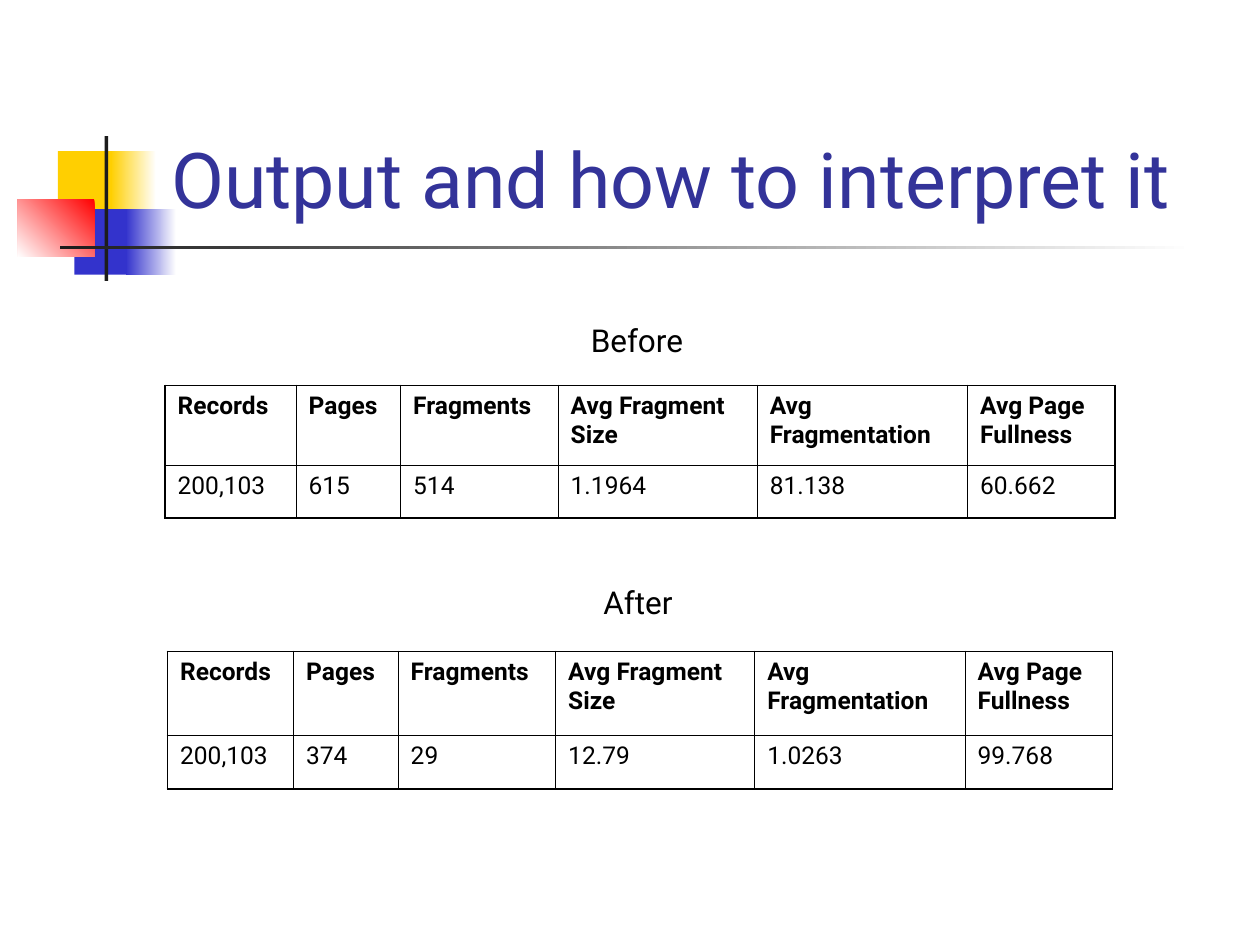
"""Build a slide comparing index fragmentation before and after."""
import pptx
import pptx.dml.color
import pptx.enum.shapes
import pptx.enum.text
import pptx.oxml
import pptx.oxml.ns
import pptx.util

Inches, Pt = pptx.util.Inches, pptx.util.Pt
RGB = pptx.dml.color.RGBColor.from_string
ANCHOR = pptx.enum.text.MSO_ANCHOR

THEME = {
    "font": "Roboto", "title": "333399", "text": "000000", "white": "FFFFFF",
    "yellow": "FFCF01", "blue": "3333CC", "red": "FF0000", "dark": "1C1C1C",
    "title_size": 44, "label_size": 18, "cell_size": 14, "cell_space": 3.5,
    "outer_line": 1.08, "inner_line": 0.45,
}

TITLE = ("Output and how to interpret it", (1.26, 0.23, 8.52, 1.6))
HEADERS = ["Records", "Pages", "Fragments", "Avg Fragment Size",
           "Avg Fragmentation", "Avg Page Fullness"]
SHARED_WIDTHS = [0.83, 1.25, 1.58, 1.67, 1.17]
VALUE_HEIGHT = 0.42
RESULTS = [
    {"label": "Before", "label_box": (4.59, 2.5, 0.98, 0.4),
     "left": 1.31, "top": 3.06, "first_width": 1.04, "header_height": 0.63,
     "values": ["200,103", "615", "514", "1.1964", "81.138", "60.662"]},
    {"label": "After", "label_box": (4.69, 4.58, 0.78, 0.4),
     "left": 1.33, "top": 5.17, "first_width": 1.0, "header_height": 0.67,
     "values": ["200,103", "374", "29", "12.79", "1.0263", "99.768"]},
]
DECORATION = [
    ((0.46, 1.2, 0.48, 0.52), ["yellow"], 0),
    ((0.88, 1.2, 0.36, 0.52), ["white", "yellow"], 180),
    ((0.59, 1.66, 0.46, 0.52), ["blue"], 0),
    ((1, 1.66, 0.4, 0.52), ["white", "blue"], 180),
    ((0.14, 1.58, 0.61, 0.46), ["red", "white"], 225),
    ((0.83, 1.08, 0.03, 1.15), ["dark"], 0),
    ((0.48, 1.95, 9, 0.03), ["white", "dark"], 180),
]


def write(p, text, size, color="text", bold=False):
    r = p.add_run()
    r.text = text
    style = {"name": THEME["font"], "size": Pt(size), "bold": bold}
    for name, value in style.items():
        setattr(r.font, name, value)
    r.font.color.rgb = RGB(THEME[color])


def add_text(s, text, box, size, **style):
    tf = s.shapes.add_textbox(*map(Inches, box)).text_frame
    layout = {"word_wrap": style.pop("wrap", False),
              "vertical_anchor": style.pop("anchor", ANCHOR.TOP)}
    for name, value in layout.items():
        setattr(tf, name, value)
    write(tf.paragraphs[0], text, size, **style)


def add_block(s, box, colors, angle):
    sp = s.shapes.add_shape(pptx.enum.shapes.MSO_SHAPE.RECTANGLE, *map(Inches, box))
    sp.shadow.inherit = False
    sp.line.fill.background()
    if len(colors) == 1:
        sp.fill.solid()
        sp.fill.fore_color.rgb = RGB(THEME[colors[0]])
        return
    sp.fill.gradient()
    sp.fill.gradient_angle = angle
    for stop, color in zip(sp.fill.gradient_stops, colors):
        stop.color.rgb = RGB(THEME[color])


def set_borders(cell, outer):
    for side in "LRTB":
        width = Pt(THEME["outer_line" if side in outer else "inner_line"])
        cell._tc.get_or_add_tcPr().append(pptx.oxml.parse_xml(
            f'<a:ln{side} {pptx.oxml.ns.nsdecls("a")} w="{width}"><a:solidFill>'
            f'<a:srgbClr val="{THEME["text"]}"/></a:solidFill></a:ln{side}>'))


def add_result(s, result):
    add_text(s, result["label"], result["label_box"], THEME["label_size"])
    widths = [result["first_width"]] + SHARED_WIDTHS
    heights = [result["header_height"], VALUE_HEIGHT]
    rows = [HEADERS, result["values"]]
    box = (result["left"], result["top"], sum(widths), sum(heights))
    table = s.shapes.add_table(len(rows), len(widths), *map(Inches, box)).table
    table.first_row = table.horz_banding = False
    for column, width in zip(table.columns, widths):
        column.width = Inches(width)
    for i, (row, height) in enumerate(zip(rows, heights)):
        table.rows[i].height = Inches(height)
        for j, text in enumerate(row):
            cell = table.cell(i, j)
            outer = "TB"[i] + {0: "L", len(row) - 1: "R"}.get(j, "")
            set_borders(cell, outer)
            cell.fill.background()
            p = cell.text_frame.paragraphs[0]
            p.space_before = Pt(THEME["cell_space"])
            write(p, text, THEME["cell_size"], bold=i == 0)


def main():
    prs = pptx.Presentation()
    prs.slide_width, prs.slide_height = Inches(10), Inches(7.5)
    s = prs.slides.add_slide(prs.slide_layouts[6])
    for block in DECORATION:
        add_block(s, *block)
    add_text(s, *TITLE, THEME["title_size"], color="title", wrap=True,
             anchor=ANCHOR.BOTTOM)
    for result in RESULTS:
        add_result(s, result)
    prs.save("out.pptx")


if __name__ == "__main__":
    main()
